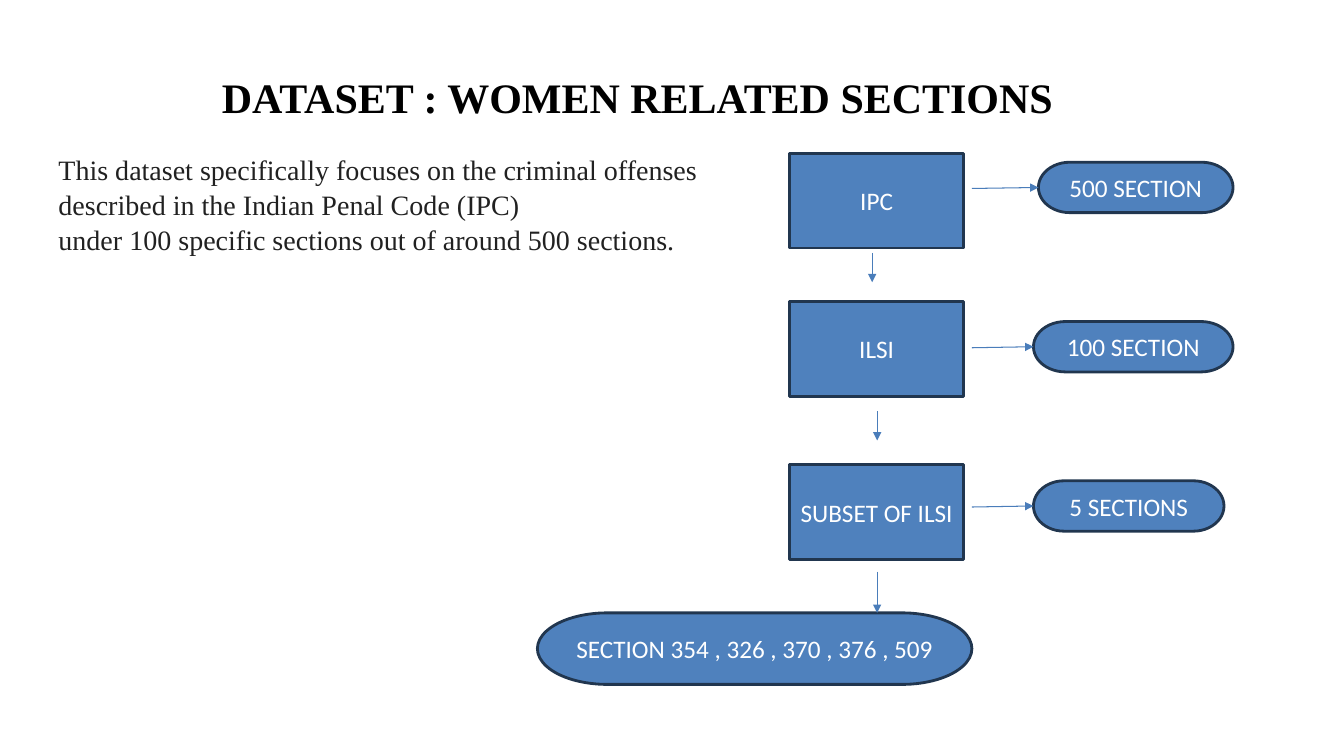
from dataclasses import dataclass

from lxml import etree
from pptx import Presentation
from pptx import util as u
from pptx.dml.color import RGBColor
from pptx.enum import shapes, text
from pptx.oxml.ns import qn


@dataclass(frozen=True)
class Theme:
    """Colours, fonts and type sizes of the slide."""
    fill: str = "4F81BD"
    edge: str = "21364F"
    arrow: str = "4A7DBA"
    white: str = "FFFFFF"
    black: str = "000000"
    ink: str = "212121"
    serif: str = "Times New Roman"
    sans: str = "Calibri"
    head: int = 30
    body: int = 20
    label: int = 18
    border: float = 2
    thin: float = 0.75


class Board:
    """A slide laid out on a grid of tenth-inch columns and rows."""

    def __init__(self, deck, theme):
        """Add a title-only slide to the deck."""
        self.theme = theme
        self.slide = deck.slides.add_slide(deck.slide_layouts[5])

    def grid(self, *cells):
        """Turn columns and rows into lengths."""
        return [u.Inches(cell / 10) for cell in cells]

    def letter(self, para, words, size, font, color, bold=False):
        """Add one styled run to a paragraph."""
        run = para.add_run()
        run.text = words
        run.font.size = u.Pt(size)
        run.font.name = font
        run.font.bold = bold
        run.font.color.rgb = RGBColor.from_string(color)

    def flush(self, frame):
        """Set a frame flush with its box, at the top."""
        frame.margin_left = frame.margin_right = 0
        frame.margin_top = frame.margin_bottom = 0
        frame.vertical_anchor = text.MSO_ANCHOR.TOP
        frame.auto_size = text.MSO_AUTO_SIZE.NONE
        frame.word_wrap = True

    def title(self, words, *cells):
        """Place and fill the title."""
        t = self.theme
        box = self.slide.shapes.title
        box.left, box.top, box.width, box.height = self.grid(*cells)
        self.flush(box.text_frame)
        para = box.text_frame.paragraphs[0]
        para.alignment = text.PP_ALIGN.LEFT
        self.letter(para, words, t.head, t.serif, t.black, True)

    def body(self, lines, *cells):
        """Add a text box with one paragraph a line."""
        t = self.theme
        frame = self.slide.shapes.add_textbox(*self.grid(*cells)).text_frame
        self.flush(frame)
        for i, line in enumerate(lines):
            para = frame.add_paragraph() if i else frame.paragraphs[0]
            para.line_spacing = 1.04
            self.letter(para, line, t.body, t.serif, t.ink)

    def node(self, kind, words, *cells):
        """Add a filled shape with a centred label."""
        t = self.theme
        shape = self.slide.shapes.add_shape(kind, *self.grid(*cells))
        shape.shadow.inherit = False
        shape.fill.solid()
        shape.fill.fore_color.rgb = RGBColor.from_string(t.fill)
        shape.line.color.rgb = RGBColor.from_string(t.edge)
        shape.line.width = u.Pt(t.border)
        frame = shape.text_frame
        frame.word_wrap = True
        frame.vertical_anchor = text.MSO_ANCHOR.MIDDLE
        para = frame.paragraphs[0]
        para.alignment = text.PP_ALIGN.CENTER
        self.letter(para, words, t.label, t.sans, t.white)
        return shape

    def arrow(self, *cells, goal=None):
        """Draw an arrow, joined to the left side of a goal if given."""
        t = self.theme
        link = self.slide.shapes.add_connector(
            shapes.MSO_CONNECTOR.STRAIGHT, *self.grid(*cells))
        if goal is not None:
            link.end_connect(goal, 1)
        link.line.color.rgb = RGBColor.from_string(t.arrow)
        link.line.width = u.Pt(t.thin)
        props = link.element.spPr
        etree.SubElement(props.find(qn("a:ln")), qn("a:tailEnd"), type="triangle")
        etree.SubElement(props, qn("a:effectLst"))


def main():
    """Build and save the slide."""
    deck = Presentation()
    deck.slide_width, deck.slide_height = u.Inches(13.33), u.Inches(7.5)
    board = Board(deck, Theme())
    board.title("DATASET : WOMEN RELATED SECTIONS", 22, 7.1, 86.5, 10.1)
    board.body([
        "This dataset specifically focuses on the criminal offenses",
        "described in the Indian Penal Code (IPC)",
        "under 100 specific sections out of around 500 sections.",
    ], 5.8, 15, 70, 10.1)

    pill = shapes.MSO_SHAPE.FLOWCHART_TERMINATOR
    steps = [
        ("IPC", 15.2, "500 SECTION", 103, 19.3),
        ("ILSI", 29.9, "100 SECTION", 102.5, 19.8),
        ("SUBSET OF ILSI", 46.1, "5 SECTIONS", 102.5, 18.9),
    ]
    for i, (name, top, count, left, width) in enumerate(steps):
        row = 16.1 + 15.8 * i
        board.node(shapes.MSO_SHAPE.RECTANGLE, name, 78.3, top, 17.3, 9.4)
        goal = board.node(pill, count, left, row, width, 5)
        board.arrow(96.4, row + 2.6, left, row + 2.5, goal=goal)

    board.node(pill, "SECTION 354 , 326 , 370 , 376 , 509", 53.3, 60.8, 43.1, 7.1)
    for col, top, end in [(86.5, 25.1, 28), (87, 40.8, 43.7), (87, 56.7, 60.8)]:
        board.arrow(col, top, col, end)
    deck.save("out.pptx")


if __name__ == "__main__":
    main()
